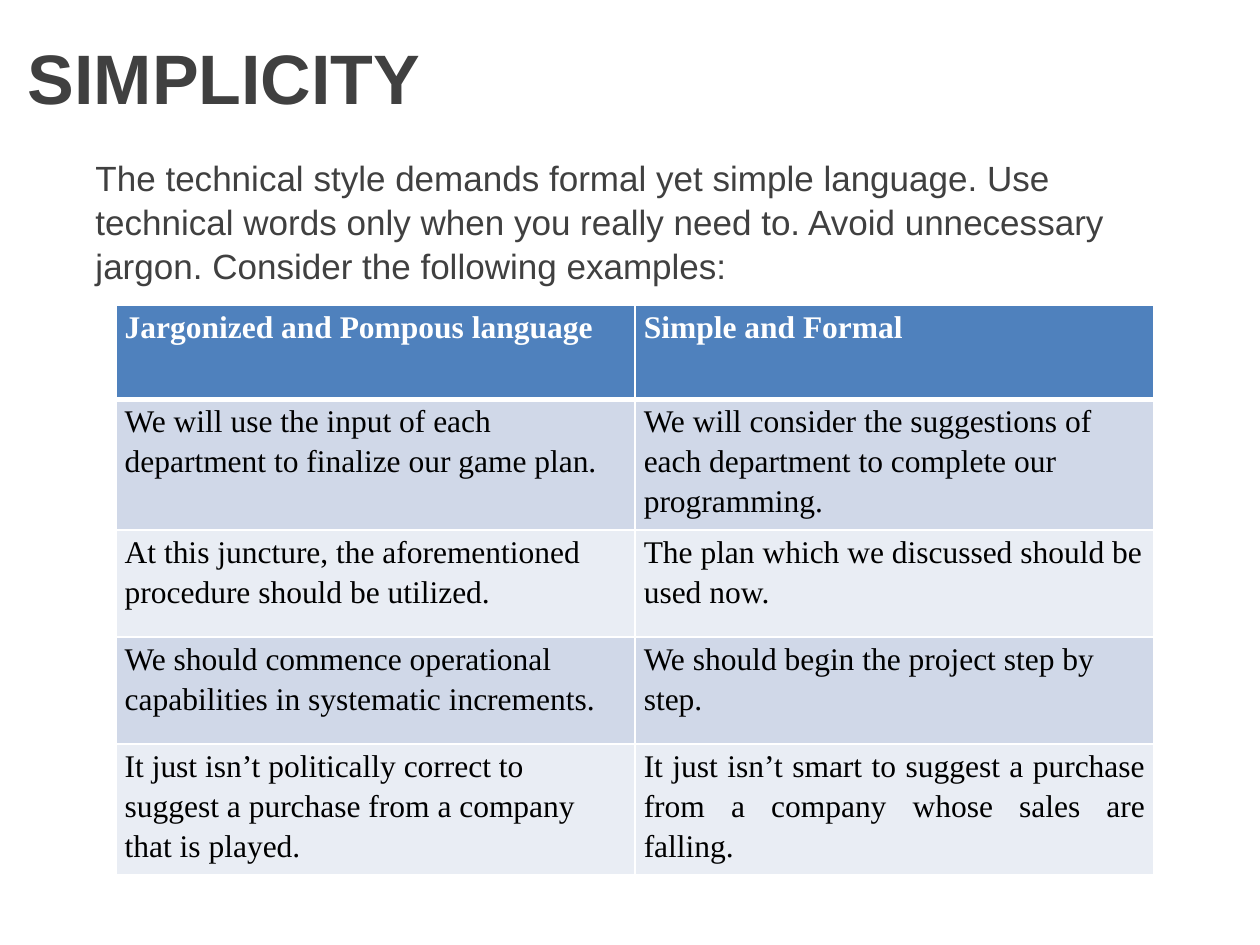
import pptx
import pptx.util
import pptx.dml.color
import pptx.enum.text
import pptx.oxml
import pptx.oxml.ns

Inches, Pt = pptx.util.Inches, pptx.util.Pt
RGB = pptx.dml.color.RGBColor
ALIGN = pptx.enum.text.PP_ALIGN
MIDDLE = pptx.enum.text.MSO_ANCHOR.MIDDLE

# Content: a bar marks a line break within a cell
TITLE = "SIMPLICITY"
INTRO = ("The technical style demands formal yet simple language. Use technical "
         "words only when you really need to. Avoid unnecessary jargon. "
         "Consider the following examples:")
ROWS = [
    ("Jargonized and Pompous language", "Simple and Formal"),
    ("We will use the input of each|department to finalize our game plan.",
     "We will consider the suggestions of|each department to complete our|programming."),
    ("At this juncture, the aforementioned|procedure should be utilized.",
     "The plan which we discussed should be|used now."),
    ("We should commence operational|capabilities in systematic increments.",
     "We should begin the project step by|step."),
    ("It just isn’t politically correct to|suggest a purchase from a company|that is played.",
     "It just isn’t smart to suggest a purchase from a company whose sales are falling."),
]
HEIGHTS = [0.75, 0.99, 0.85, 0.85, 0.99]

GRAY = RGB(0x40, 0x40, 0x40)
WHITE = RGB(0xFF, 0xFF, 0xFF)
BLACK = RGB(0, 0, 0)
BLUE = RGB(0x4F, 0x81, 0xBD)
BANDS = [RGB(0xE9, 0xED, 0xF4), RGB(0xD0, 0xD8, 0xE8)]


def style(par, font, size, color, bold=False):
    for run in par.runs:
        run.font.name = font
        run.font.size = Pt(size)
        run.font.bold = bold
        run.font.color.rgb = color


def place(shape, left, top, width, height):
    shape.left, shape.top = Inches(left), Inches(top)
    shape.width, shape.height = Inches(width), Inches(height)


def border(cell, widths):
    props = cell._tc.get_or_add_tcPr()
    for spot, (side, width) in enumerate(widths.items()):
        line = pptx.oxml.parse_xml(
            f'<a:{side} {pptx.oxml.ns.nsdecls("a")} w="{Pt(width)}"><a:solidFill>'
            f'<a:srgbClr val="{WHITE}"/></a:solidFill></a:{side}>')
        props.insert(spot, line)


deck = pptx.Presentation()
deck.slide_width, deck.slide_height = Inches(10), Inches(7.5)
slide = deck.slides.add_slide(deck.slide_layouts[5])

# Title
title = slide.shapes.title
place(title, 0.12, 0.02, 9.88, 1.17)
title.text_frame.text = TITLE
title.text_frame.vertical_anchor = MIDDLE
head = title.text_frame.paragraphs[0]
head.alignment = ALIGN.LEFT
style(head, "Arial", 40, GRAY, True)

# Introduction
box = slide.shapes.add_textbox(Inches(0.66), Inches(1.2), Inches(8.84), Inches(1.1))
frame = box.text_frame
frame.word_wrap = True
frame.vertical_anchor = MIDDLE
frame.text = INTRO
frame.paragraphs[0].line_spacing = 1.05
style(frame.paragraphs[0], "Arial", 20, GRAY)

# Comparison table
table = slide.shapes.add_table(len(ROWS), 2, Inches(0.92), Inches(2.42),
                               Inches(8.24), Inches(sum(HEIGHTS))).table
for col in table.columns:
    col.width = Inches(4.12)
for r, texts in enumerate(ROWS):
    table.rows[r].height = Inches(HEIGHTS[r])
    first = r == 0
    for c, text in enumerate(texts):
        cell = table.cell(r, c)
        cell.margin_left = cell.margin_right = Inches(0.07)
        cell.margin_top = cell.margin_bottom = 0
        cell.fill.solid()
        cell.fill.fore_color.rgb = BLUE if first else BANDS[r % 2]
        border(cell, {"lnL": 1, "lnR": 1, "lnT": 3 if r == 1 else 1,
                      "lnB": 3 if first else 1})
        cell.text_frame.text = text.replace("|", "\v")
        par = cell.text_frame.paragraphs[0]
        par.alignment = ALIGN.LEFT if "|" in text else ALIGN.JUSTIFY
        par.line_spacing = 1.15
        style(par, "Times New Roman", 18, WHITE if first else BLACK, first)

deck.save("out.pptx")
